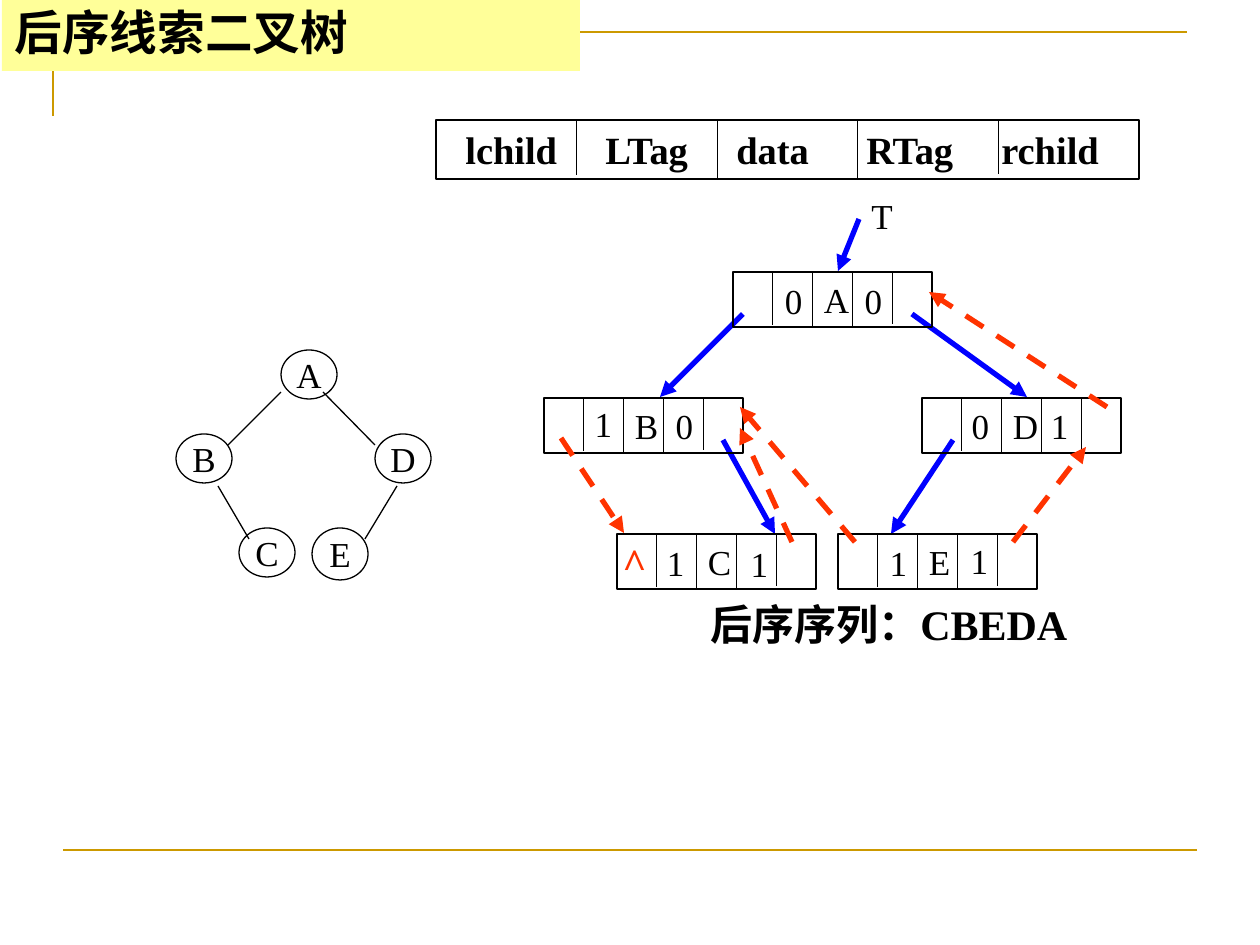
"""Build a slide on the postorder threaded binary tree."""
from lxml.etree import SubElement
from pptx import Presentation
from pptx.dml.color import RGBColor
from pptx.enum.dml import MSO_LINE
from pptx.enum.shapes import MSO_CONNECTOR, MSO_SHAPE
from pptx.enum.text import MSO_ANCHOR, MSO_AUTO_SIZE, PP_ALIGN
from pptx.oxml.ns import qn
from pptx.util import Emu, Pt

SCALE = 914400 / 126
COLORS = {"ink": "000000", "gold": "CC9900", "child": "0000FF", "thread": "FF3300", "title": "FFFF99"}
LATIN, CHINESE = "Times New Roman", "Noto Sans CJK SC"

TITLE = ("后序线索二叉树", (2, 0, 578, 71))
FRAME = [(53, 116), (53, 32), (1187, 32)]
FOOTER = (63, 850, 1197, 850)

FIELDS = ["lchild", "LTag", "data", "RTag", "rchild"]
FIELD_BOX = (436, 120, 703, 59)
FIELD_TABS = [17, 157, 288, 418, 553]
FIELD_BOTTOMS = [175, 178, 178, 174]

TREE_NODES = [("A", 281, 350, 49), ("B", 176, 434, 49), ("C", 239, 528, 49),
              ("D", 375, 434, 49), ("E", 312, 528, 52)]
TREE_EDGES = [(281, 392, 228, 445), (323, 392, 375, 445), (218, 486, 249, 539), (397, 486, 365, 539)]

NODE_SIZE = (199, 55)
NODE_BOTTOMS = [53, 55, 55, 52]
LETTER_INSET = 91
TAG_SIZE = (43, 55)
NODES = [
    ("A", 733, 272, [("0", 39, 1), ("0", 119, 1)]),
    ("B", 544, 398, [("1", 38, -2), ("0", 119, 0)]),
    ("D", 922, 398, [("0", 37, 0), ("1", 116, 0)]),
    ("C", 617, 534, [("1", 37, 1), ("1", 121, 2)]),
    ("E", 838, 534, [("1", 39, 1), ("1", 120, -1)]),
]
CHILD_ARROWS = [(743, 314, 660, 397), (912, 314, 1027, 397), (723, 440, 775, 534),
                (953, 440, 891, 534), (859, 219, 838, 271)]
THREAD_ARROWS = [(561, 438, 624, 533), (792, 542, 740, 428), (855, 542, 740, 407),
                 (1013, 542, 1086, 447), (1107, 407, 929, 292)]
ROOT_LABEL = ("T", (859, 188, 47, 55))
SEQUENCE = ("后序序列：CBEDA", (698, 592, 392, 63))
NULL_MARK = ("^", (610, 530, 49, 63))


def px(value):
    return Emu(round(value * SCALE))


def color(name):
    return RGBColor.from_string(COLORS[name])


def write(shape, text, size=20, bold=False, ink="ink", align=PP_ALIGN.LEFT,
          anchor=MSO_ANCHOR.MIDDLE, font=LATIN, wrap=False, tabs=()):
    frame = shape.text_frame
    frame.auto_size = MSO_AUTO_SIZE.NONE
    frame.word_wrap = wrap
    frame.vertical_anchor = anchor
    frame.text = text
    paragraph = frame.paragraphs[0]
    paragraph.alignment = align
    if tabs:
        tab_list = SubElement(paragraph._p.get_or_add_pPr(), qn("a:tabLst"))
        for position in tabs:
            SubElement(tab_list, qn("a:tab"), pos=str(px(position)), algn="l")
    for run in paragraph.runs:
        run.font.name = font
        run.font.size = Pt(size)
        run.font.bold = bold
        run.font.color.rgb = color(ink)
        SubElement(run._r.get_or_add_rPr(), qn("a:ea"), typeface=CHINESE)
    return paragraph


def add_outline(shapes, kind, box):
    shape = shapes.add_shape(kind, *map(px, box))
    shape.shadow.inherit = False
    shape.fill.background()
    shape.line.color.rgb = color("ink")
    shape.line.width = Pt(0.75)
    return shape


def add_label(shapes, text, box, **style):
    write(shapes.add_textbox(*map(px, box)), text, **style)


def add_line(shapes, ends, ink="ink", width=0.75, arrow=False, dashed=False):
    line = shapes.add_connector(MSO_CONNECTOR.STRAIGHT, *map(px, ends))
    line.line.color.rgb = color(ink)
    line.line.width = Pt(width)
    if dashed:
        line.line.dash_style = MSO_LINE.DASH
    if arrow:
        SubElement(line.line._get_or_add_ln(), qn("a:tailEnd"), type="triangle")
    SubElement(line._element.spPr, qn("a:effectLst"))


def add_dividers(shapes, left, top, width, bottoms):
    for index, bottom in enumerate(bottoms, 1):
        x = left + width * index / (len(bottoms) + 1)
        add_line(shapes, (x, top, x, bottom))


def add_frame(shapes):
    builder = shapes.build_freeform(*map(px, FRAME[0]), scale=1.0)
    builder.add_line_segments([(px(x), px(y)) for x, y in FRAME[1:]], close=False)
    frame = builder.convert_to_shape()
    frame.shadow.inherit = False
    frame.fill.background()
    frame.line.color.rgb = color("gold")
    frame.line.width = Pt(1.5)
    add_line(shapes, FOOTER, "gold", 1.5)


def add_fields(shapes):
    box = add_outline(shapes, MSO_SHAPE.RECTANGLE, FIELD_BOX)
    write(box, "".join("\t" + field for field in FIELDS), 22, True, wrap=True, tabs=FIELD_TABS)
    left, top, width, _ = FIELD_BOX
    add_dividers(shapes, left, top + 1, width, FIELD_BOTTOMS)


def add_tree(shapes):
    for letter, left, top, height in TREE_NODES:
        circle = add_outline(shapes, MSO_SHAPE.OVAL, (left, top, 56, height))
        write(circle, letter, align=PP_ALIGN.CENTER)
    for edge in TREE_EDGES:
        add_line(shapes, edge)


def add_threaded_tree(shapes):
    for ends in CHILD_ARROWS:
        add_line(shapes, ends, "child", 3, arrow=True)
    for letter, left, top, tags in NODES:
        box = add_outline(shapes, MSO_SHAPE.RECTANGLE, (left, top, *NODE_SIZE))
        write(box, letter, wrap=True)
        box.text_frame.margin_left = px(LETTER_INSET)
        add_dividers(shapes, left, top, NODE_SIZE[0], [top + bottom for bottom in NODE_BOTTOMS])
        for tag, x, y in tags:
            add_label(shapes, tag, (left + x, top + y, *TAG_SIZE), align=PP_ALIGN.CENTER)
    add_label(shapes, *ROOT_LABEL, anchor=MSO_ANCHOR.TOP)
    add_label(shapes, *SEQUENCE, size=24, bold=True, anchor=MSO_ANCHOR.TOP)
    add_label(shapes, *NULL_MARK, size=24, bold=True, ink="thread", align=PP_ALIGN.CENTER)
    for ends in THREAD_ARROWS:
        add_line(shapes, ends, "thread", 3, arrow=True, dashed=True)


def add_title(shapes):
    text, box = TITLE
    title = shapes.title
    title.left, title.top, title.width, title.height = map(px, box)
    title.fill.solid()
    title.fill.fore_color.rgb = color("title")
    write(title, text, 27.2, True, font=CHINESE, wrap=True).line_spacing = 0.9
    shapes.element.append(title.element)


def main():
    presentation = Presentation()
    presentation.slide_width, presentation.slide_height = px(1260), px(945)
    slide = presentation.slides.add_slide(presentation.slide_layouts[5])
    for add_part in (add_frame, add_fields, add_tree, add_threaded_tree, add_title):
        add_part(slide.shapes)
    presentation.save("out.pptx")


if __name__ == "__main__":
    main()
